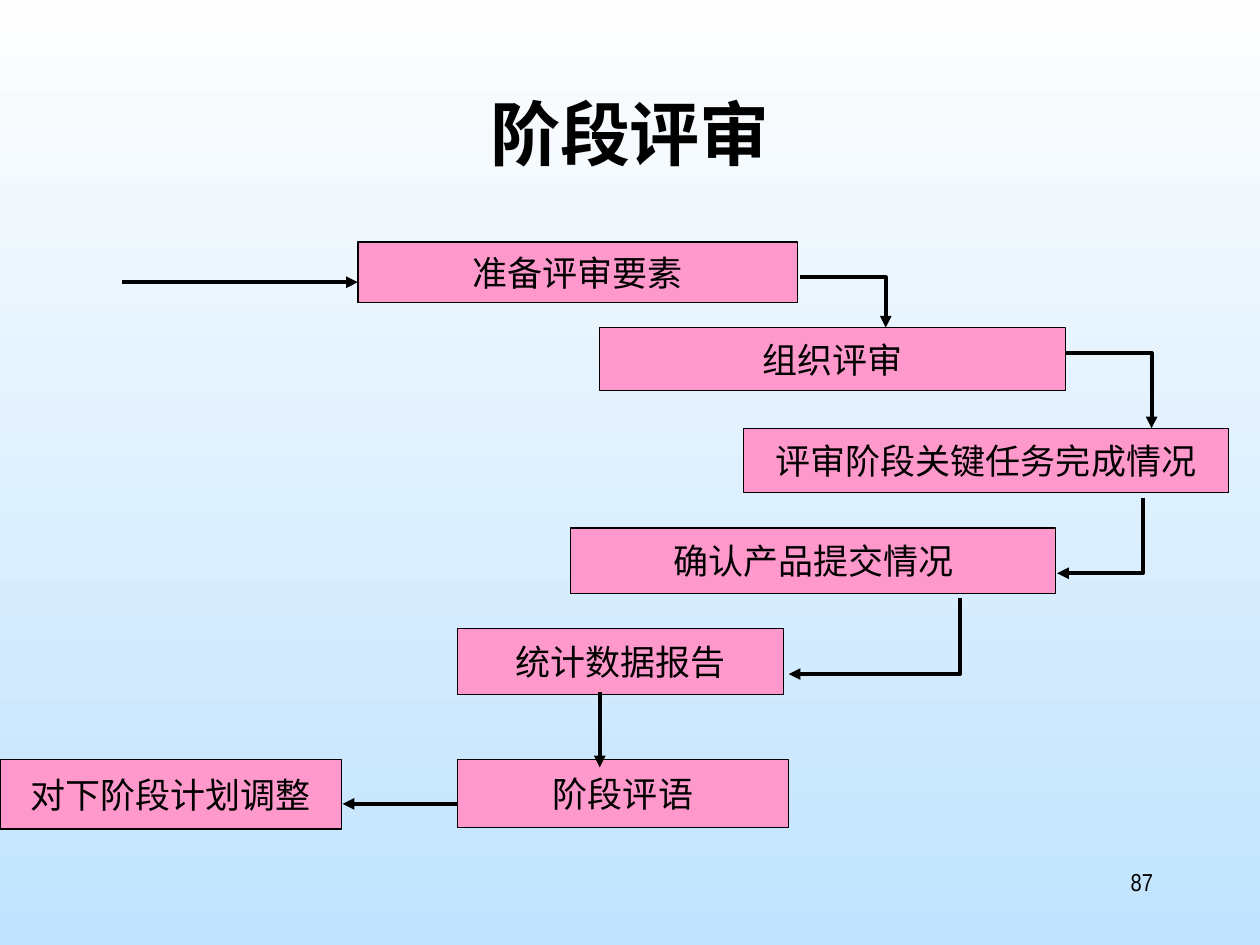
import pptx
import pptx.util
import pptx.dml.color
import pptx.enum.shapes
import pptx.enum.text
import pptx.oxml
import pptx.oxml.ns

COLORS = {"ink": "000000", "box": "FF99CC", "top": "FEFEFE", "base": "C0E3FE"}
SERIF = "Times New Roman"
COLS, ROWS = 100, 75
ALIGN = pptx.enum.text.PP_ALIGN
ANCHOR = pptx.enum.text.MSO_ANCHOR

# text, left, top, width, height in grid cells, font
STEPS = [
    ("准备评审要素", 28.4, 19.2, 34.9, 4.8, SERIF),
    ("组织评审", 47.6, 26, 37, 5, "Arial"),
    ("评审阶段关键任务完成情况", 59, 34, 38.5, 5.1, SERIF),
    ("确认产品提交情况", 45.3, 41.9, 38.5, 5.2, SERIF),
    ("统计数据报告", 36.3, 49.9, 25.9, 5.2, SERIF),
    ("阶段评语", 36.3, 60.3, 26.3, 5.4, SERIF),
    ("对下阶段计划调整", 0, 60.3, 27.1, 5.5, SERIF),
]
ARROWS = [
    [(9.7, 22.4), (28.4, 22.4)],
    [(47.6, 54.9), (47.6, 60.9)],
    [(36.3, 63.8), (27.2, 63.8)],
]
ELBOWS = [
    [(63.5, 22), (70.3, 22), (70.3, 26)],
    [(84.6, 28), (91.4, 28), (91.4, 34)],
    [(90.7, 39.5), (90.7, 45.5), (83.9, 45.5)],
    [(76.2, 47.5), (76.2, 53.5), (62.6, 53.5)],
]


def rgb(name):
    return pptx.dml.color.RGBColor.from_string(COLORS[name])


class Flow:
    """Draws on one slide, with places given in grid cells."""

    def __init__(self, deck):
        self.cell = deck.slide_width / COLS, deck.slide_height / ROWS
        self.slide = deck.slides.add_slide(deck.slide_layouts[5])
        self.shapes = self.slide.shapes

    def grid(self, *cells):
        """Turn alternating columns and rows into lengths."""
        return [round(n * self.cell[i % 2]) for i, n in enumerate(cells)]

    def shade(self):
        fill = self.slide.background.fill
        fill.gradient()
        fill.gradient_angle = 270
        for stop, name in zip(fill.gradient_stops, ("top", "base")):
            stop.color.rgb = rgb(name)

    def label(self, shape, text, size, font, align, anchor=ANCHOR.TOP, bold=False):
        frame = shape.text_frame
        frame.text = text
        frame.vertical_anchor = anchor
        para = frame.paragraphs[0]
        para.alignment = align
        para.font.size = pptx.util.Pt(size)
        para.font.name = font
        para.font.bold = bold
        para.font.color.rgb = rgb("ink")
        return frame

    def title(self, text, *place):
        shape = self.shapes.title
        shape.left, shape.top, shape.width, shape.height = self.grid(*place)
        frame = self.label(shape, text, 40, "Noto Sans CJK SC", ALIGN.CENTER, bold=True)
        frame.auto_size = pptx.enum.text.MSO_AUTO_SIZE.NONE

    def box(self, text, left, top, width, height, font):
        kind = pptx.enum.shapes.MSO_SHAPE.RECTANGLE
        shape = self.shapes.add_shape(kind, *self.grid(left, top, width, height))
        shape.shadow.inherit = False
        shape.fill.solid()
        shape.fill.fore_color.rgb = rgb("box")
        shape.line.color.rgb = rgb("ink")
        shape.line.width = pptx.util.Pt(0.75)
        frame = self.label(shape, text, 20, font, ALIGN.CENTER, ANCHOR.MIDDLE)
        frame.word_wrap = False
        frame.margin_left = frame.margin_right = 0
        frame.margin_top = frame.margin_bottom = 0

    def tip(self, line):
        """Style a line and put an arrowhead on its end."""
        line.color.rgb = rgb("ink")
        line.width = pptx.util.Pt(2.25)
        head = pptx.oxml.parse_xml(
            f'<a:tailEnd {pptx.oxml.ns.nsdecls("a")} type="triangle"/>')
        line._get_or_add_ln().append(head)

    def arrow(self, start, end):
        kind = pptx.enum.shapes.MSO_CONNECTOR.STRAIGHT
        link = self.shapes.add_connector(kind, *self.grid(*start, *end))
        self.tip(link.line)
        link._element.spPr.append(
            pptx.oxml.parse_xml(f'<a:effectLst {pptx.oxml.ns.nsdecls("a")}/>'))

    def elbow(self, *points):
        start, *rest = [self.grid(*point) for point in points]
        pen = self.shapes.build_freeform(*start)
        pen.add_line_segments(rest, close=False)
        shape = pen.convert_to_shape()
        shape.shadow.inherit = False
        shape.fill.background()
        self.tip(shape.line)

    def number(self, text, *place):
        shape = self.shapes.add_textbox(*self.grid(*place))
        self.label(shape, text, 14, "Arial Narrow", ALIGN.RIGHT).word_wrap = True


def main():
    deck = pptx.Presentation()
    deck.slide_width = pptx.util.Inches(10)
    deck.slide_height = pptx.util.Inches(7.5)
    flow = Flow(deck)
    flow.shade()
    flow.title("阶段评审", 7.5, 6.7, 85, 12.5)
    for step in STEPS:
        flow.box(*step)
    for ends in ARROWS:
        flow.arrow(*ends)
    for points in ELBOWS:
        flow.elbow(*points)
    flow.number("87", 71.7, 68.3, 20.8, 5)
    deck.save("out.pptx")


if __name__ == "__main__":
    main()
